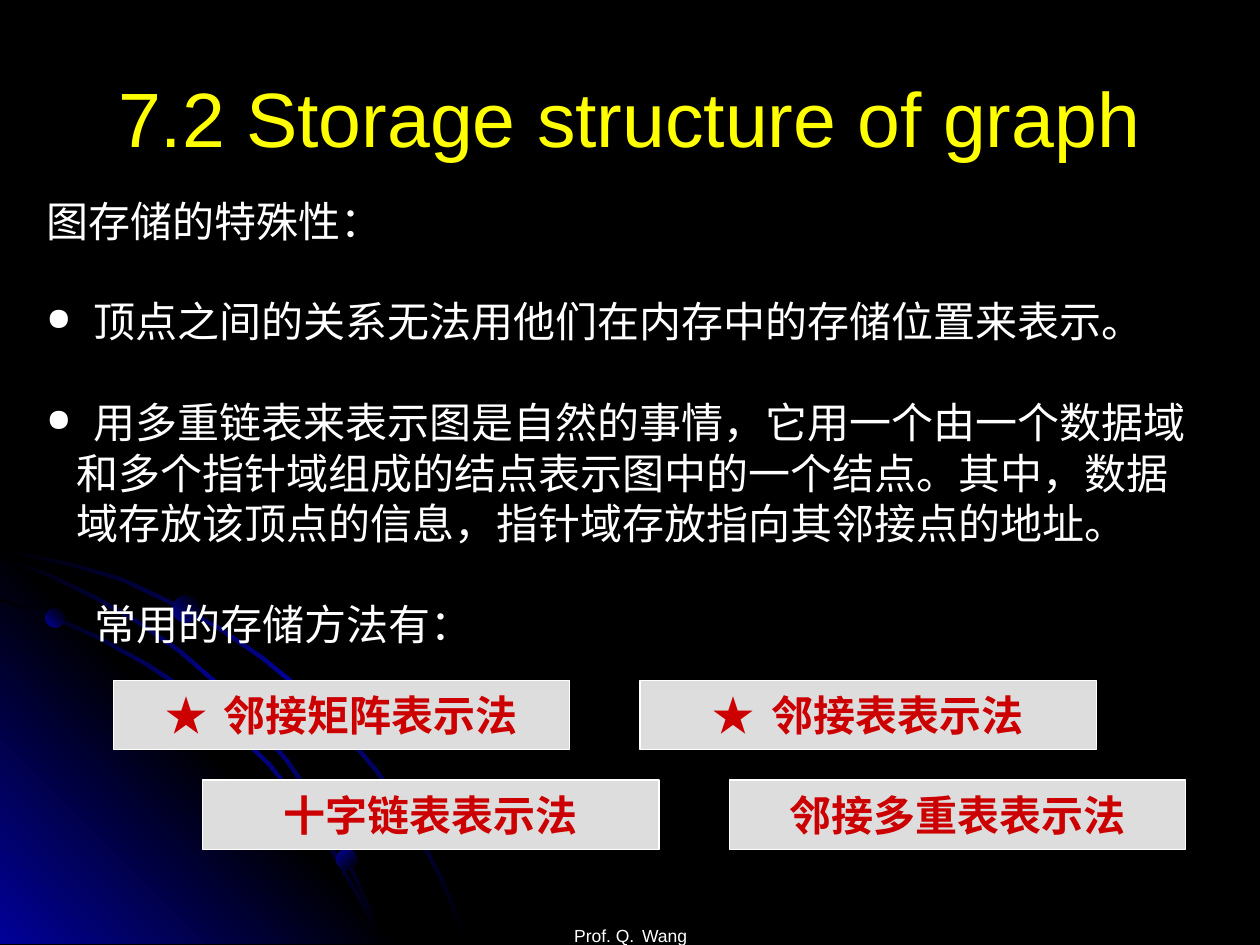
from dataclasses import dataclass

from lxml import etree
from pptx import Presentation
from pptx.dml.color import RGBColor
from pptx.enum import lang, shapes, text
from pptx.oxml import ns
from pptx.util import Inches, Pt

BLACK = RGBColor(0x00, 0x00, 0x00)
WHITE = RGBColor(0xFF, 0xFF, 0xFF)
YELLOW = RGBColor(0xFF, 0xFF, 0x00)
RED = RGBColor(0xCC, 0x00, 0x00)
GREY = RGBColor(0xDD, 0xDD, 0xDD)
BLUE = RGBColor(0x01, 0x01, 0x99)

GLOW = (BLACK, BLUE, BLACK)
CENTER = text.PP_ALIGN.CENTER
MIDDLE = text.MSO_ANCHOR.MIDDLE
BODY_SIZE = 24
LINE_PITCH = Pt(28.8)
SLIDE_BOTTOM = 749


@dataclass
class Point:
    words: tuple
    margin: float = 0
    bulleted: bool = False


@dataclass
class Planet:
    left: float
    top: float
    size: float
    angle: int


ORBIT_OUTER = [(0, 435), (28, 441), (57, 447), (98, 459), (136, 477), (174, 497),
               (209, 521), (242, 548), (272, 578), (300, 611), (325, 648),
               (339, 673), (352, 698), (362, 723), (372, 749)]
ORBIT_INNER = [(0, 475), (41, 488), (79, 505), (117, 526), (152, 549), (184, 576),
               (215, 606), (242, 640), (266, 676), (286, 712), (296, 730), (303, 749)]
ORBIT_MIDDLE = [(0, 442), (39, 455), (76, 473), (111, 493), (144, 516), (175, 543),
                (204, 573), (229, 603), (254, 639), (269, 665), (282, 693),
                (294, 720), (303, 749)]
CORNER = [(322, 749), (0, 749), (0, 427)]
PLANETS = [Planet(0.36, 4.83, 0.15, 315), Planet(2.67, 6.74, 0.16, 45),
           Planet(1.37, 4.73, 0.21, 315)]

POINTS = [
    Point(("图存储的特殊性：",)),
    Point(("", "顶点之间的关系无法用他们在内存中的存储位置来表示。"), 0.24, True),
    Point(("", "用多重链表来表示图是自然的事情，它用一个由一个数据域和多个指针域组成的"
               "结点表示图中的一个结点。其中，数据域存放该顶点的信息，"
               "指针域存放指向其邻接点的地址。"), 0.24, True),
    Point(("常用的存储方法有：",), 0.38),
]
METHODS = [[("★", "邻接矩阵表示法"), ("★", "邻接表表示法")],
           [("十字链表表示法",), ("邻接多重表表示法",)]]


def paint_gradient(shape, colors: tuple, angle: int) -> None:
    shape.shadow.inherit = False
    shape.line.fill.background()
    shape.fill.gradient()
    gradient = shape._element.spPr.find(ns.qn("a:gradFill"))
    stops = gradient.find(ns.qn("a:gsLst"))
    for stop in list(stops):
        stops.remove(stop)
    for index, color in enumerate(colors):
        position = str(100000 * index // (len(colors) - 1))
        stop = etree.SubElement(stops, ns.qn("a:gs"), pos=position)
        etree.SubElement(stop, ns.qn("a:srgbClr"), val=str(color))
    gradient.find(ns.qn("a:lin")).set("ang", str(angle * 60000))


def draw_outline(slide, outline: list, colors: tuple, angle: int) -> None:
    builder = slide.shapes.build_freeform(*outline[0], scale=Inches(0.01))
    builder.add_line_segments(outline[1:], close=True)
    paint_gradient(builder.convert_to_shape(), colors, angle)


def draw_orbit(slide, edge: list) -> None:
    inner = [(max(x - 2, 0), min(y + 2, SLIDE_BOTTOM)) for x, y in reversed(edge)]
    draw_outline(slide, edge + inner, GLOW, 45)


def draw_planet(slide, planet: Planet) -> None:
    ball = slide.shapes.add_shape(
        shapes.MSO_SHAPE.OVAL, Inches(planet.left), Inches(planet.top),
        Inches(planet.size), Inches(planet.size))
    paint_gradient(ball, (BLUE, BLACK), planet.angle)


def add_run(paragraph, words: str, size: int, color: RGBColor, bold: bool):
    run = paragraph.add_run()
    run.text = words
    run.font.name = "Arial"
    run.font.size = Pt(size)
    run.font.bold = bold
    run.font.color.rgb = color
    run.font.language_id = lang.MSO_LANGUAGE_ID.SIMPLIFIED_CHINESE
    return run


def write(paragraph, words: tuple, size: int, color: RGBColor, bold: bool = False) -> None:
    for index, part in enumerate(words):
        if index:
            gap = add_run(paragraph, " ", size, color, bold)
            gap.font._element.set("spc", str(size * 17))
        if part:
            add_run(paragraph, part, size, color, bold)


def add_bullet(paragraph) -> None:
    properties = paragraph._p.get_or_add_pPr()
    color = etree.SubElement(properties, ns.qn("a:buClr"))
    etree.SubElement(color, ns.qn("a:srgbClr"), val=str(WHITE))
    etree.SubElement(properties, ns.qn("a:buSzPct"), val="75000")
    etree.SubElement(properties, ns.qn("a:buChar"), char="●")


def add_frame(slide, left: float, top: float, width: float, height: float, anchor):
    frame = slide.shapes.add_textbox(
        Inches(left), Inches(top), Inches(width), Inches(height)).text_frame
    frame.word_wrap = True
    frame.vertical_anchor = anchor
    return frame


def draw_body(slide) -> None:
    frame = add_frame(slide, 0.27, 1.5, 9.31, 3.7, text.MSO_ANCHOR.TOP)
    for index, point in enumerate(POINTS):
        paragraph = frame.add_paragraph() if index else frame.paragraphs[0]
        paragraph.line_spacing = LINE_PITCH
        if index:
            paragraph.space_before = LINE_PITCH
        properties = paragraph._p.get_or_add_pPr()
        properties.set("marL", str(Inches(point.margin)))
        if point.bulleted:
            properties.set("indent", str(-Inches(point.margin)))
            add_bullet(paragraph)
        write(paragraph, point.words, BODY_SIZE, WHITE)


def draw_method(slide, words: tuple, left: float, top: float) -> None:
    box = slide.shapes.add_shape(
        shapes.MSO_SHAPE.RECTANGLE, Inches(left), Inches(top), Inches(3.62), Inches(0.55))
    box.shadow.inherit = False
    box.fill.solid()
    box.fill.fore_color.rgb = GREY
    box.line.color.rgb = WHITE
    box.line.width = Pt(0.75)
    frame = box.text_frame
    frame.word_wrap = False
    frame.vertical_anchor = MIDDLE
    frame.paragraphs[0].alignment = CENTER
    write(frame.paragraphs[0], words, BODY_SIZE, RED, bold=True)


def main() -> None:
    deck = Presentation()
    deck.slide_width, deck.slide_height = Inches(10), Inches(7.5)
    slide = deck.slides.add_slide(deck.slide_layouts[6])
    slide.background.fill.solid()
    slide.background.fill.fore_color.rgb = BLACK

    draw_orbit(slide, ORBIT_OUTER)
    draw_outline(slide, CORNER, (BLUE, BLACK, BLUE), 315)
    draw_orbit(slide, ORBIT_INNER)
    draw_orbit(slide, ORBIT_MIDDLE)
    for planet in PLANETS:
        draw_planet(slide, planet)

    footer = add_frame(slide, 3.42, 7.01, 3.17, 0.5, text.MSO_ANCHOR.BOTTOM)
    footer.margin_bottom = 0
    footer.paragraphs[0].alignment = CENTER
    write(footer.paragraphs[0], ("Prof. Q.", "Wang"), 10, WHITE)

    draw_body(slide)

    title = add_frame(slide, 0.5, 0.3, 9, 1.25, MIDDLE)
    title.paragraphs[0].alignment = CENTER
    write(title.paragraphs[0], ("7.2 Storage structure of graph",), 44, YELLOW)

    for row, methods in enumerate(METHODS):
        for column, words in enumerate(methods):
            draw_method(slide, words, 0.9 + 0.71 * row + 4.18 * column, 5.4 + 0.79 * row)

    deck.save("out.pptx")


if __name__ == "__main__":
    main()
